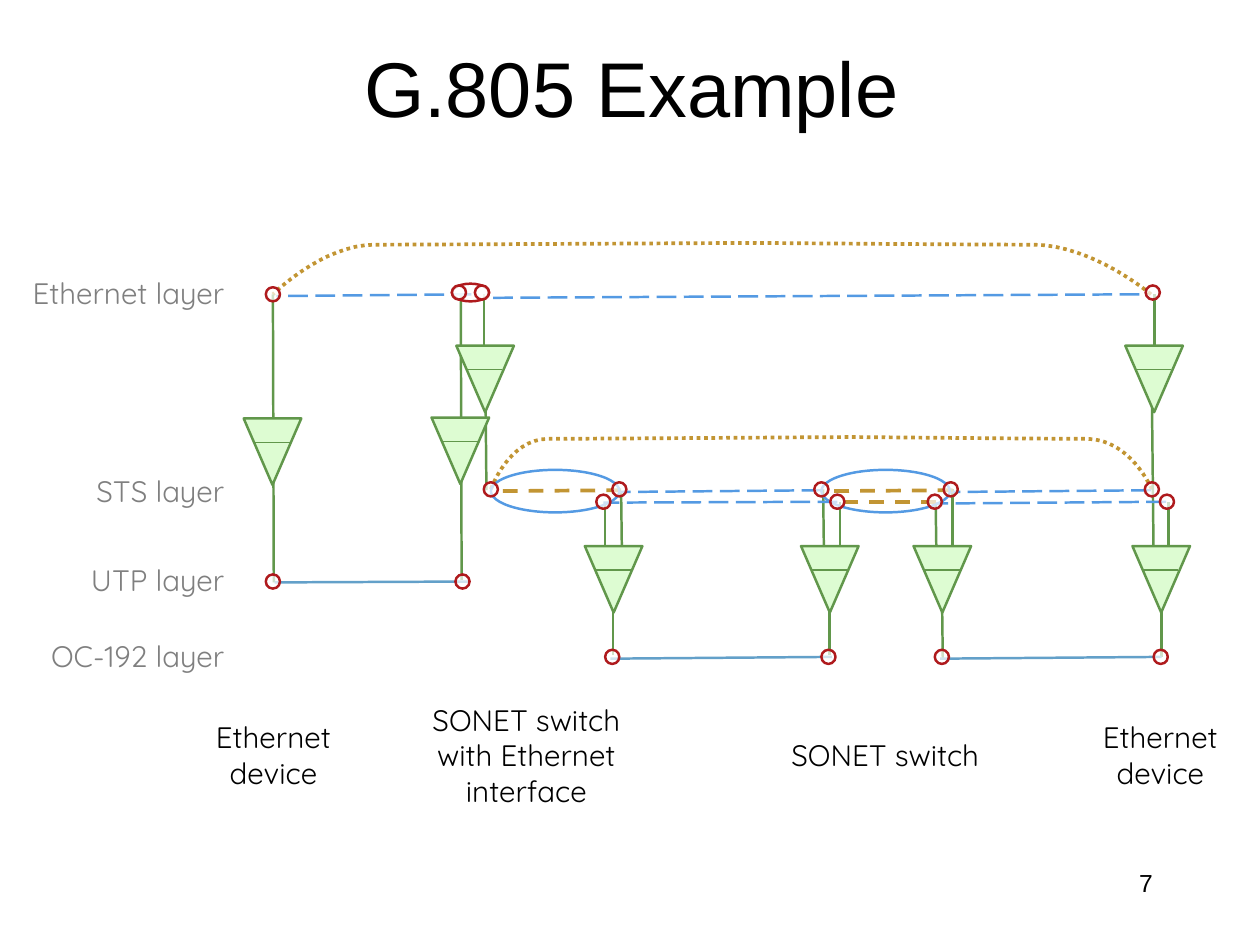
from lxml.etree import SubElement
from pptx import Presentation
from pptx.dml.color import RGBColor
from pptx.enum.dml import MSO_LINE
from pptx.enum.shapes import MSO_CONNECTOR, MSO_SHAPE
from pptx.enum.text import MSO_ANCHOR, PP_ALIGN
from pptx.oxml.ns import qn
from pptx.util import Inches, Pt

GREEN, PALE_GREEN, RED, WHITE = "61974B", "DDFCD2", "AF1A1D", "FFFFFF"
BLUE, STEEL, GOLD, GRAY, BLACK = "549AE3", "63A0C9", "C29533", "7F7F7F", "000000"


def paint(fill, color):
    fill.solid()
    fill.fore_color.rgb = RGBColor.from_string(color)


def outline(shape, color, width, dash=None):
    paint(shape.line.fill, color)
    shape.line.width = Pt(width)
    if dash is not None:
        shape.line.dash_style = dash
    SubElement(shape.element.spPr, qn("a:effectLst"))


deck = Presentation()
deck.slide_width, deck.slide_height = Inches(14.22), Inches(10.66)
page = deck.slides.add_slide(deck.slide_layouts[6])
shapes = page.shapes

# Title, layer names, device names and page number
layer = {"font": "Quicksand", "size": 24, "color": GRAY, "align": PP_ALIGN.RIGHT}
device = {"font": "Quicksand", "size": 24, "color": BLACK, "align": PP_ALIGN.CENTER}
title = {"font": "Arial", "size": 63, "color": BLACK, "align": PP_ALIGN.CENTER,
         "inset": (0.14, 0.07)}
number = {**title, "size": 20, "align": PP_ALIGN.RIGHT, "anchor": MSO_ANCHOR.TOP}
texts = [
    ("G.805 Example", 1.08, 0.33, 12.09, 1.3, title),
    ("Ethernet layer", 0.1, 3.03, 2.43, 0.54, layer),
    ("STS layer", 0.1, 5.27, 2.43, 0.54, layer),
    ("UTP layer", 0.1, 6.27, 2.43, 0.54, layer),
    ("OC-192 layer", 0.1, 7.13, 2.43, 0.54, layer),
    ("Ethernet\ndevice", 2.39, 8.02, 1.39, 0.99, device),
    ("SONET switch\nwith Ethernet interface", 4.64, 7.8, 2.6, 1.43, device),
    ("SONET switch", 8.93, 8.02, 2.12, 0.99, device),
    ("Ethernet\ndevice", 12.4, 8.02, 1.39, 0.99, device),
    ("7", 10.19, 9.72, 2.96, 0.71, number),
]
for words, left, top, width, height, style in texts:
    box = shapes.add_textbox(Inches(left), Inches(top), Inches(width), Inches(height))
    across, down = style.get("inset", (0, 0))
    frame_format = {
        "word_wrap": True,
        "vertical_anchor": style.get("anchor", MSO_ANCHOR.MIDDLE),
        "margin_left": Inches(across), "margin_right": Inches(across),
        "margin_top": Inches(down), "margin_bottom": Inches(down),
    }
    for name, value in frame_format.items():
        setattr(box.text_frame, name, value)
    box.text_frame.text = words
    for para in box.text_frame.paragraphs:
        para.alignment = style["align"]
        for span in para.runs:
            for name, value in {"name": style["font"], "size": Pt(style["size"])}.items():
                setattr(span.font, name, value)
            paint(span.font.fill, style["color"])

# Dotted end-to-end connections: cubic curves through sampled points
arches = [
    [(12.99, 3.32), (12.99, 3.32), (12.33, 2.76), (11.66, 2.76),
     (11, 2.76), (8.49, 2.74), (8.49, 2.74),
     (8.49, 2.74), (4.75, 2.76), (4.23, 2.76),
     (3.64, 2.76), (3.08, 3.32), (3.08, 3.32)],
    [(13, 5.52), (13, 5.52), (12.76, 4.95), (12.26, 4.95),
     (11.76, 4.95), (9.62, 4.93), (9.62, 4.93),
     (9.62, 4.93), (6.58, 4.95), (6.19, 4.95),
     (5.74, 4.95), (5.54, 5.52), (5.54, 5.52)],
]
STEPS = 16
for arch in arches:
    points = []
    for first in range(0, len(arch) - 1, 3):
        for step in range(1, STEPS + 1):
            t = step / STEPS
            weights = ((1 - t) ** 3, 3 * t * (1 - t) ** 2, 3 * t * t * (1 - t), t ** 3)
            curve = list(zip(weights, arch[first:first + 4]))
            points.append((Inches(sum(w * x for w, (x, y) in curve)),
                           Inches(sum(w * y for w, (x, y) in curve))))
    builder = shapes.build_freeform(Inches(arch[0][0]), Inches(arch[0][1]))
    builder.add_line_segments(points, close=False)
    connection = builder.convert_to_shape()
    connection.fill.background()
    outline(connection, GOLD, 3, MSO_LINE.ROUND_DOT)

# Straight lines: green stems, then links within each layer
stems = [
    (13.03, 4.35, 13.03, 3.32), (9.3, 6.35, 9.29, 5.52), (10.75, 6.32, 10.75, 5.52),
    (10.57, 6.36, 10.56, 5.68), (9.48, 6.35, 9.48, 5.66), (6.83, 6.3, 6.83, 5.66),
    (7.02, 6.32, 7.01, 5.54), (5.49, 5.53, 5.48, 4.47), (13.11, 7.41, 13.11, 6.59),
    (13.02, 6.31, 13, 4.46), (13.19, 6.37, 13.19, 5.66), (10.64, 7.42, 10.63, 6.6),
    (9.36, 7.39, 9.36, 6.59), (6.92, 7.39, 6.92, 6.63), (5.46, 4.31, 5.46, 3.32),
    (3.09, 6.57, 3.08, 3.32), (5.21, 6.54, 5.2, 3.32),
]
cables = [(5.3, 6.56, 3.1, 6.57), (9.39, 7.41, 6.89, 7.43), (13.11, 7.41, 10.61, 7.43)]
link_connections = [
    (5.32, 3.32, 3.12, 3.34), (12.86, 3.32, 5.46, 3.36), (12.99, 5.53, 10.72, 5.55),
    (9.27, 5.53, 6.98, 5.55), (13.16, 5.66, 10.55, 5.68), (9.45, 5.66, 6.81, 5.67),
]
switch_connections = [(7.01, 5.53, 5.56, 5.54), (10.75, 5.53, 9.29, 5.54),
                      (10.56, 5.66, 9.48, 5.66)]
# Adapters: left and top of each triangle with its dividing line
adapters = [(2.75, 4.72), (12.78, 6.16), (10.31, 6.16), (9.04, 6.16),
            (6.6, 6.16), (12.7, 3.9), (4.87, 4.71), (5.15, 3.9)]

line_groups = [
    (stems, GREEN, 2, None),
    (adapters, GREEN, 1, None),
    (cables, STEEL, 2, None),
    (link_connections, BLUE, 2, MSO_LINE.LONG_DASH),
    (switch_connections, GOLD, 3, MSO_LINE.DASH),
]
for group, color, width, dash in line_groups:
    for ends in group:
        if group is adapters:
            left, top = ends
            adapter = shapes.add_shape(MSO_SHAPE.ISOSCELES_TRIANGLE, Inches(left),
                                       Inches(top), Inches(0.65), Inches(0.75))
            adapter.rotation = 180
            paint(adapter.fill, PALE_GREEN)
            outline(adapter, GREEN, 2)
            ends = (left + 0.13, top + 0.27, left + 0.52, top + 0.27)
        line = shapes.add_connector(MSO_CONNECTOR.STRAIGHT, *map(Inches, ends))
        outline(line, color, width, dash)

# Ellipses: switch matrices, then the connection points
RING = 0.16
ring_rows = {
    3.22: [5.36, 5.1, 12.93],
    3.24: [3],
    5.44: [9.19, 10.65, 6.91, 5.46, 12.92],
    5.58: [9.37, 10.47, 6.73, 13.09],
    6.48: [3, 5.14],
    7.33: [9.27, 6.83, 13.02, 10.55],
}
ellipses = [(9.27, 5.3, 1.45, 0.48, BLUE), (5.54, 5.3, 1.45, 0.48, BLUE),
            (5.1, 3.2, 0.42, 0.2, RED)]
ellipses += [(left, top, RING, RING, RED) for top, row in ring_rows.items() for left in row]
for left, top, width, height, color in ellipses:
    ellipse = shapes.add_shape(MSO_SHAPE.OVAL, Inches(left), Inches(top),
                               Inches(width), Inches(height))
    if color == RED:
        paint(ellipse.fill, WHITE)
        white = ellipse.element.spPr.find(qn("a:solidFill"))[0]
        SubElement(white, qn("a:alpha"), val="70000")
    else:
        ellipse.fill.background()
    outline(ellipse, color, 2)

deck.save("out.pptx")
